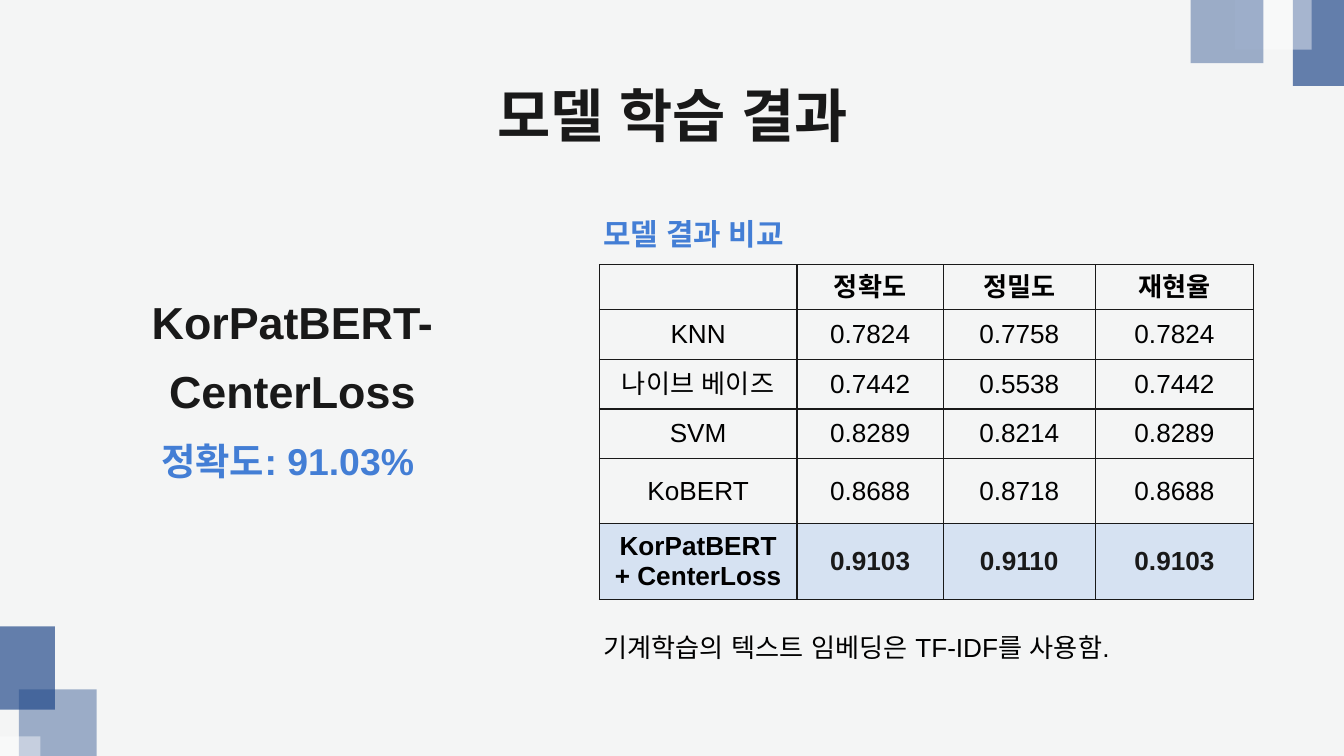
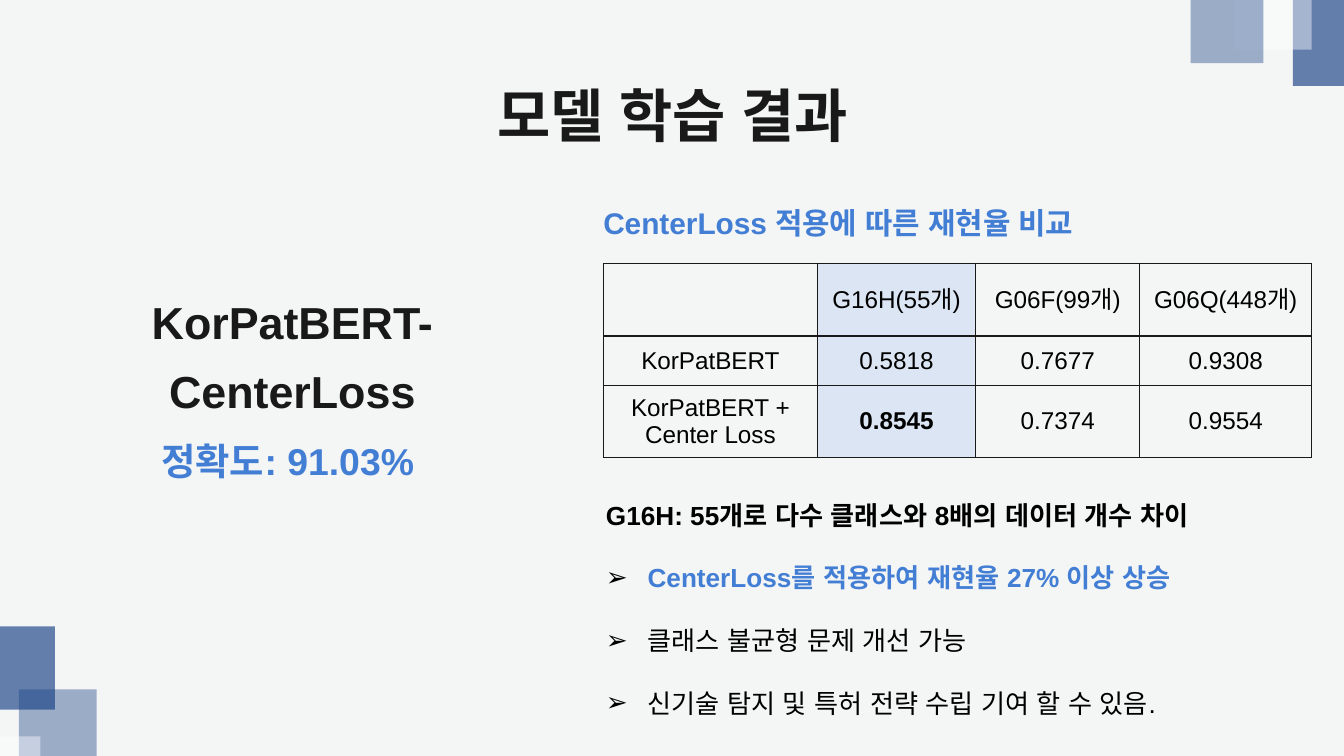
from lxml.etree import SubElement
from pptx import Presentation
from pptx.dml.color import RGBColor
from pptx.enum.shapes import MSO_SHAPE as SHAPE
from pptx.enum.text import MSO_ANCHOR as ANCHOR, MSO_AUTO_SIZE as AUTO, PP_ALIGN as ALIGN
from pptx.oxml import parse_xml
from pptx.oxml.ns import nsdecls, qn
from pptx.util import Inches, Pt

FONT = "Arial"
BG = RGBColor(0xF4, 0xF5, 0xF5)
NAVY = RGBColor(0x1C, 0x45, 0x87)
WHITE = RGBColor(0xFF, 0xFF, 0xFF)
INK = RGBColor(0x19, 0x19, 0x19)
BLACK = RGBColor(0, 0, 0)
BLUE = RGBColor(0x43, 0x7E, 0xD5)
BEST_ROW = RGBColor(0xC0, 0xD4, 0xF1)
BEST_COL = RGBColor(0xC6, 0xD7, 0xF3)

CORNERS = [
    ((0.14, 5.13, 0.58, 0.54), NAVY, 41),
    ((-0.31, 5.48, 0.61, 0.57), WHITE, 43),
    ((-0.25, 4.66, 0.66, 0.62), NAVY, 67),
    ((9.62, -0.02, 0.62, 0.66), NAVY, 67),
    ((9.19, -0.24, 0.57, 0.61), WHITE, 43),
    ((8.86, -0.11, 0.54, 0.58), NAVY, 41),
]
SCORES = [
    ["", "정확도", "정밀도", "재현율"],
    ["KNN", "0.7824", "0.7758", "0.7824"],
    ["나이브 베이즈", "0.7442", "0.5538", "0.7442"],
    ["SVM", "0.8289", "0.8214", "0.8289"],
    ["KoBERT", "0.8688", "0.8718", "0.8688"],
    ["KorPatBERT + CenterLoss", "0.9103", "0.9110", "0.9103"],
]
RECALLS = [
    ["", "G16H(55개)", "G06F(99개)", "G06Q(448개)"],
    ["KorPatBERT", "0.5818", "0.7677", "0.9308"],
    ["KorPatBERT + Center Loss", "0.8545", "0.7374", "0.9554"],
]
FINDINGS = [
    ("CenterLoss를 적용하여 재현율 27% 이상 상승", BLUE, True),
    ("클래스 불균형 문제 개선 가능", BLACK, False),
    ("신기술 탐지 및 특허 전략 수립 기여 할 수 있음.", BLACK, False),
]


def set_fill(fill, color, opacity):
    """Fill with a colour at an opacity in percent."""
    fill.solid()
    fill.fore_color.rgb = color
    clr = fill._xPr.find(qn("a:solidFill"))[0]
    SubElement(clr, qn("a:alpha")).set("val", str(opacity * 1000))


def add_run(p, text, size, color, bold):
    """Add one formatted run to a paragraph."""
    r = p.add_run()
    r.text = text
    r.font.name = FONT
    r.font.size = Pt(size)
    r.font.color.rgb = color
    r.font.bold = bold
    rPr = r._r.get_or_add_rPr()
    rPr.set("lang", "ko-KR")
    SubElement(rPr, qn("a:ea")).set("typeface", FONT)


def add_text(s, box, text, size, color, bold=True, align=ALIGN.LEFT,
             anchor=ANCHOR.TOP, spacing=None, wrap=True):
    """Add a one-paragraph text box and return its frame."""
    tf = s.shapes.add_textbox(*map(Inches, box)).text_frame
    tf.word_wrap = wrap
    tf.auto_size = AUTO.NONE if wrap else AUTO.SHAPE_TO_FIT_TEXT
    tf.vertical_anchor = anchor
    if wrap:
        tf.margin_top = tf.margin_bottom = Inches(0.1)
    p = tf.paragraphs[0]
    p.alignment = align
    if spacing:
        p.line_spacing = spacing
    add_run(p, text, size, color, bold)
    return tf


def add_bullet(tf, text, color, bold):
    """Append an arrow-bulleted paragraph."""
    p = tf.add_paragraph()
    pPr = p._p.get_or_add_pPr()
    pPr.set("marL", str(Inches(0.31)))
    pPr.set("indent", str(-Inches(0.31)))
    SubElement(SubElement(pPr, qn("a:buClr")), qn("a:srgbClr")).set("val", str(BLACK))
    SubElement(pPr, qn("a:buFont")).set("typeface", FONT)
    SubElement(pPr, qn("a:buChar")).set("char", "➢")
    p.line_spacing = 2.0
    add_run(p, text, 14, color, bold)


def set_borders(cell):
    """Draw thin dark lines round a cell."""
    tcPr = cell._tc.get_or_add_tcPr()
    for i, side in enumerate("LRTB"):
        tcPr.insert(i, parse_xml(
            f'<a:ln{side} {nsdecls("a")} w="{Pt(0.75)}"><a:solidFill>'
            f'<a:srgbClr val="{INK}"/></a:solidFill></a:ln{side}>'))


def add_grid(s, left, top, cols, rows, data, size, style):
    """Add a table; style gives each cell's fill, opacity, colour and weight."""
    box = map(Inches, (left, top, sum(cols), sum(rows)))
    tbl = s.shapes.add_table(len(rows), len(cols), *box).table
    tbl.first_row = tbl.horz_banding = False
    for col, width in zip(tbl.columns, cols):
        col.width = Inches(width)
    for i, height in enumerate(rows):
        tbl.rows[i].height = Inches(height)
        for j, text in enumerate(data[i]):
            cell = tbl.cell(i, j)
            fill, opacity, color, bold = style(i, j)
            if fill:
                set_fill(cell.fill, fill, opacity)
            else:
                cell.fill.background()
            set_borders(cell)
            cell.vertical_anchor = ANCHOR.MIDDLE
            p = cell.text_frame.paragraphs[0]
            p.alignment = ALIGN.CENTER
            if text:
                add_run(p, text, size, color, bold)
            else:
                p._p.get_or_add_endParaRPr().set("sz", str(size * 100))


def score_style(i, j):
    """Highlight the best model's row."""
    best = i == len(SCORES) - 1
    color = INK if best and j else BLACK
    return BEST_ROW if best else None, 56, color, best or i == 0


def recall_style(i, j):
    """Highlight the rare class's column."""
    return BEST_COL if j == 1 else None, 50, BLACK, (i, j) == (2, 1)


def add_heading(s, left, top, width, text):
    """Add the blue heading above a table."""
    add_text(s, (left, top, width, 0.53), text, 16, BLUE,
             anchor=ANCHOR.BOTTOM, spacing=1.3)


def add_summary(s, left, top):
    """Add the model name and its accuracy."""
    add_text(s, (left, top, 4.03, 0.8), "KorPatBERT-CenterLoss", 24, INK,
             align=ALIGN.CENTER, anchor=ANCHOR.BOTTOM, spacing=1.3)
    add_text(s, (left + 0.94, top + 0.8, 2.16, 0.44), "정확도: 91.03%", 20, BLUE, wrap=False)


def add_result_slide(prs):
    """Add a slide with corners, title and summary."""
    s = prs.slides.add_slide(prs.slide_layouts[6])
    s.background.fill.solid()
    s.background.fill.fore_color.rgb = BG
    for box, color, opacity in CORNERS:
        sp = s.shapes.add_shape(SHAPE.RECTANGLE, *map(Inches, box))
        sp.shadow.inherit = False
        sp.line.fill.background()
        set_fill(sp.fill, color, opacity)
    add_text(s, (0.79, 0.49, 8.43, 0.63), "모델 학습 결과", 31, INK, align=ALIGN.CENTER)
    add_summary(s, 0.16, 2.41)
    return s


def add_model_comparison(s, left, top):
    """Add the comparison of all models."""
    add_heading(s, left, top, 3.75, "모델 결과 비교")
    add_grid(s, left + 0.07, top + 0.53, [1.47, 1.09, 1.13, 1.18],
             [0.33, 0.37, 0.37, 0.37, 0.48, 0.57], SCORES, 14, score_style)
    add_text(s, (left, top + 3.21, 4.23, 0.34),
             "기계학습의 텍스트 임베딩은 TF-IDF를 사용함.", 14, BLACK, bold=False, wrap=False)


def add_recall_comparison(s, left, top):
    """Add the recall table and its findings."""
    add_heading(s, left, top, 5.11, "CenterLoss 적용에 따른 재현율 비교")
    add_grid(s, left + 0.1, top + 0.6, [1.59, 1.18, 1.22, 1.28],
             [0.54, 0.37, 0.53], RECALLS, 13, recall_style)
    tf = add_text(s, (left + 0.02, top + 2.07, 4.91, 1.91),
                  "G16H: 55개로 다수 클래스와 8배의 데이터 개수 차이", 14, BLACK,
                  spacing=2.0, wrap=False)
    for finding in FINDINGS:
        add_bullet(tf, *finding)


def main():
    """Build and save the deck."""
    prs = Presentation()
    prs.slide_width = Inches(10)
    prs.slide_height = Inches(10) * 9 // 16
    add_model_comparison(add_result_slide(prs), 4.39, 1.44)
    add_recall_comparison(add_result_slide(prs), 4.39, 1.36)
    prs.save("out.pptx")


if __name__ == "__main__":
    main()
